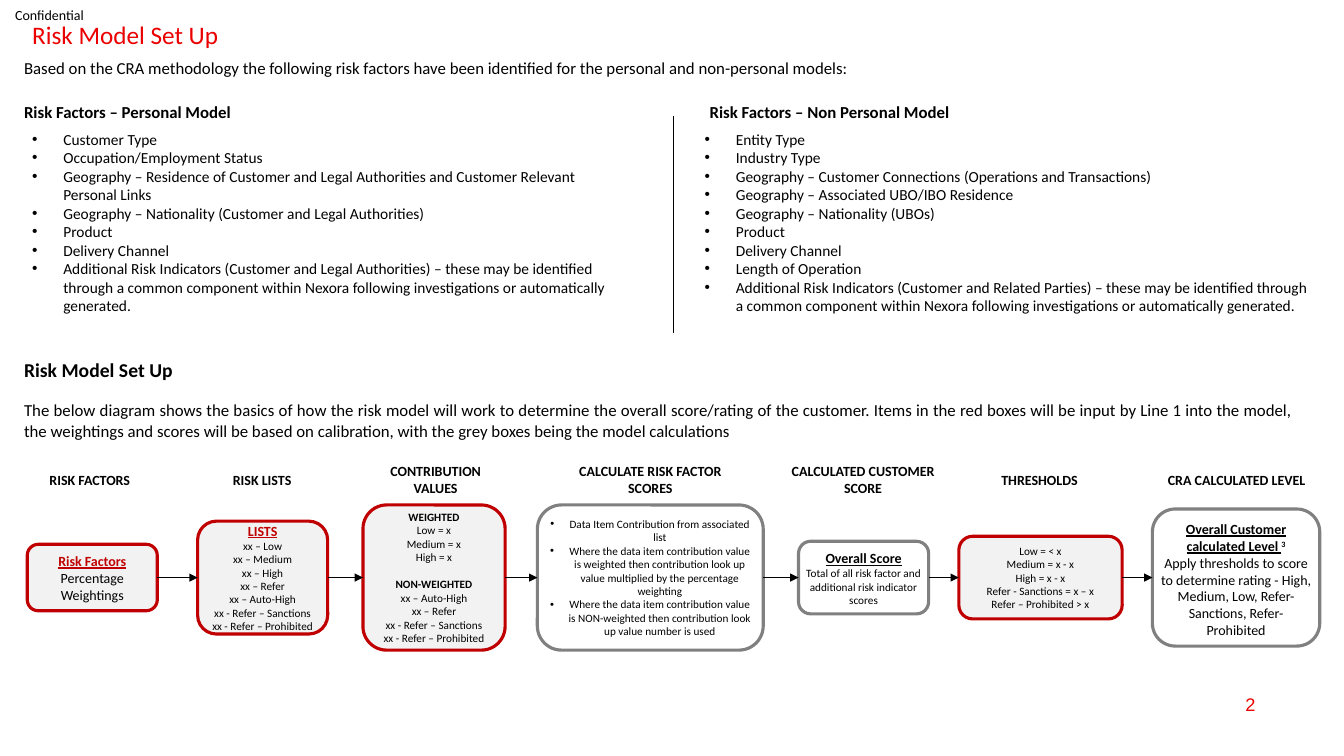
from itertools import pairwise

from lxml import etree
from pptx import Presentation
from pptx import util as u
from pptx.dml.color import RGBColor
from pptx.enum import shapes, text
from pptx.oxml import ns

PX = 9144  # 100 px to the inch
COLORS = {"red": "EB0000", "dark_red": "C00000", "grey": "808080",
          "pale": "F2F2F2", "white": "FFFFFF", "black": "000000"}
ALIGN = text.PP_ALIGN
MIDDLE, TOP = text.MSO_ANCHOR.MIDDLE, text.MSO_ANCHOR.TOP
FLOW_CENTER = 573

PERSONAL_FACTORS = [
    "Customer Type",
    "Occupation/Employment Status",
    "Geography – Residence of Customer and Legal Authorities and Customer Relevant Personal Links",
    "Geography – Nationality (Customer and Legal Authorities)",
    "Product",
    "Delivery Channel",
    "Additional Risk Indicators (Customer and Legal Authorities) – these may be identified through "
    "a common component within Nexora following investigations or automatically generated.",
]
NON_PERSONAL_FACTORS = [
    "Entity Type",
    "Industry Type",
    "Geography – Customer Connections (Operations and Transactions)",
    "Geography – Associated UBO/IBO Residence",
    "Geography – Nationality (UBOs)",
    "Product",
    "Delivery Channel",
    "Length of Operation",
    "Additional Risk Indicators (Customer and Related Parties) – these may be identified through "
    "a common component within Nexora following investigations or automatically generated.",
]
INTRO = ("Based on the CRA methodology the following risk factors have been identified "
         "for the personal and non-personal models:")
DIAGRAM_INTRO = (
    "The below diagram shows the basics of how the risk model will work to determine the overall "
    "score/rating of the customer. Items in the red boxes will be input by Line 1 into the model, "
    "the weightings and scores will be based on calibration, with the grey boxes being the model "
    "calculations")

SMALL = {"size": 8}
SMALL_BOLD = {"size": 8, "bold": True}
TITLE = {"bold": True, "underline": True}
RED_TITLE = {**TITLE, "color": "dark_red"}


def small_lines(*lines):
    return [[(line, SMALL)] for line in lines]


# heading, (heading left, width), (box left, width, height), anchor, is input, bulleted, paragraphs
STAGES = [
    ("RISK FACTORS", (20, 138), (27, 129, 66), TOP, True, False,
     [[("Risk Factors", RED_TITLE)], [("Percentage Weightings", {})]]),
    ("RISK LISTS", (180, 160), (196, 129, 112), MIDDLE, True, False,
     [[("LISTS", RED_TITLE)],
      *small_lines("xx – Low", "xx – Medium", "xx – High", "xx – Refer", "xx – Auto-High",
                   "xx - Refer – Sanctions", "xx - Refer – Prohibited")]),
    ("CONTRIBUTION VALUES", (363, 138), (360, 141, 144), MIDDLE, True, False,
     [[("WEIGHTED", SMALL_BOLD)],
      *small_lines("Low = x", "Medium = x", "High = x"),
      [("NON-WEIGHTED", {**SMALL_BOLD, "gap": 9.75})],
      *small_lines("xx – Auto-High", "xx – Refer", "xx - Refer – Sanctions",
                   "xx - Refer – Prohibited")]),
    ("CALCULATE RISK FACTOR SCORES", (554, 182), (533, 224, 144), MIDDLE, False, True,
     small_lines(
         "Data Item Contribution from associated list",
         "Where the data item contribution value is weighted then contribution look up value "
         "multiplied by the percentage weighting",
         "Where the data item contribution value is NON-weighted then contribution look up value "
         "number is used")),
    ("CALCULATED CUSTOMER SCORE", (774, 164), (792, 129, 72), TOP, False, False,
     [[("Overall Score", TITLE)],
      *small_lines("Total of all risk factor and additional risk indicator scores")]),
    ("THRESHOLDS", (962, 138), (951, 162, 82), MIDDLE, True, False,
     small_lines("Low = < x", "Medium = x - x", "High = x - x",
                 "Refer - Sanctions = x – x", "Refer – Prohibited > x")),
    ("CRA CALCULATED LEVEL", (1128, 197), (1143, 166, 136), TOP, False, False,
     [[("Overall Customer calculated Level ", TITLE), ("3", {"bold": True, "raised": True})],
      [("Apply thresholds to score to determine rating - High, Medium, Low, Refer-Sanctions, "
        "Refer-Prohibited", {})]]),
]


def px(*lengths):
    return [u.Emu(length * PX) for length in lengths]


def rgb(name):
    return RGBColor.from_string(COLORS[name])


def add_run(paragraph, words, size=10, bold=False, underline=False, color="black",
            font="Calibri", raised=False, gap=None):
    """gap is the space in points above the run's paragraph."""
    run = paragraph.add_run()
    run.text = words
    run.font.name, run.font.size = font, u.Pt(size)
    run.font.bold, run.font.underline = bold, underline
    run.font.color.rgb = rgb(color)
    if raised:
        run.font._element.set("baseline", "30000")
    if gap:
        paragraph.space_before = u.Pt(gap)


def add_bullet(paragraph, indent):
    properties = paragraph._p.get_or_add_pPr()
    properties.set("marL", str(indent * PX))
    properties.set("indent", str(-indent * PX))
    etree.SubElement(properties, ns.qn("a:buFont"), typeface="Arial")
    etree.SubElement(properties, ns.qn("a:buChar"), char="•")


def fill_text(shape, paragraphs, align, anchor, margins, indent=0, line_spacing=None):
    """Write paragraphs, each a list of (words, style); an indent makes them bulleted."""
    frame = shape.text_frame
    frame.word_wrap = True
    frame.vertical_anchor = anchor
    frame.margin_left, frame.margin_top, frame.margin_right, frame.margin_bottom = px(*margins)
    for index, runs in enumerate(paragraphs):
        paragraph = frame.add_paragraph() if index else frame.paragraphs[0]
        paragraph.alignment = align
        if line_spacing:
            paragraph.line_spacing = line_spacing
        for words, style in runs:
            add_run(paragraph, words, **style)
        if indent:
            add_bullet(paragraph, indent)


def add_label(slide, box, words, align=ALIGN.LEFT, anchor=TOP, margins=(10, 5, 10, 5),
              line_spacing=None, **style):
    shape = slide.shapes.add_textbox(*px(*box))
    fill_text(shape, [[(words, style)]], align, anchor, margins, line_spacing=line_spacing)


def add_heading(slide, box, words, **style):
    add_label(slide, box, words, line_spacing=0.9, gap=10, **style)


def add_factor_list(slide, box, factors):
    shape = slide.shapes.add_textbox(*px(*box))
    fill_text(shape, [[(factor, {"size": 11})] for factor in factors],
              ALIGN.LEFT, TOP, (10, 5, 10, 5), indent=31)


def add_line(slide, start, end, width):
    line = slide.shapes.add_connector(shapes.MSO_CONNECTOR.STRAIGHT, *px(*start, *end))
    line.line.color.rgb = rgb("black")
    line.line.width = u.Pt(width)
    etree.SubElement(line._element.spPr, ns.qn("a:effectLst"))
    return line


def add_arrow(slide, source, target, width):
    arrow = add_line(slide, (0, 0), (0, 0), width)
    arrow.begin_connect(source, 3)
    arrow.end_connect(target, 1)
    etree.SubElement(arrow.line._get_or_add_ln(), ns.qn("a:tailEnd"), type="triangle")


def add_stage(slide, heading, heading_span, box_size, anchor, is_input, bulleted, paragraphs):
    heading_left, heading_width = heading_span
    add_label(slide, (heading_left, 454, heading_width, 44), heading,
              ALIGN.CENTER, MIDDLE, bold=True)
    left, width, height = box_size
    box = slide.shapes.add_shape(shapes.MSO_SHAPE.ROUNDED_RECTANGLE,
                                 *px(left, FLOW_CENTER - height // 2, width, height))
    box.shadow.inherit = False
    box.fill.solid()
    box.fill.fore_color.rgb = rgb("pale" if is_input else "white")
    box.line.color.rgb = rgb("dark_red" if is_input else "grey")
    box.line.width = u.Pt(2.25)
    fill_text(box, paragraphs, ALIGN.CENTER, anchor, (2, 5, 2, 5), indent=19 if bulleted else 0)
    return box


def main():
    presentation = Presentation()
    presentation.slide_width, presentation.slide_height = px(1333, 750)
    slide = presentation.slides.add_slide(presentation.slide_layouts[6])

    add_label(slide, (0, 0, 99, 29), "Confidential", anchor=MIDDLE, margins=(15, 0, 0, 0))
    add_heading(slide, (22, 18, 552, 33), "Risk Model Set Up", size=18, color="red")
    add_label(slide, (14, 52, 1279, 30), INTRO, ALIGN.JUSTIFY, size=12)

    add_heading(slide, (14, 98, 552, 33), "Risk Factors – Personal Model", size=12, bold=True)
    add_factor_list(slide, (22, 124, 603, 195), PERSONAL_FACTORS)
    add_line(slide, (668, 115), (668, 330), 0.5)
    add_heading(slide, (694, 98, 552, 33), "Risk Factors – Non Personal Model", size=12, bold=True)
    add_factor_list(slide, (689, 124, 623, 195), NON_PERSONAL_FACTORS)

    add_heading(slide, (14, 353, 552, 33), "Risk Model Set Up", size=14, bold=True)
    add_label(slide, (14, 392, 1279, 50), DIAGRAM_INTRO, ALIGN.JUSTIFY, size=12)
    boxes = [add_stage(slide, *stage) for stage in STAGES]
    for index, (source, target) in enumerate(pairwise(boxes)):
        add_arrow(slide, source, target, 0.75 if index < 2 else 0.5)

    add_label(slide, (955, 679, 300, 40), "2", ALIGN.RIGHT, MIDDLE,
              size=13, color="red", font="Arial")
    presentation.save("out.pptx")


if __name__ == "__main__":
    main()
